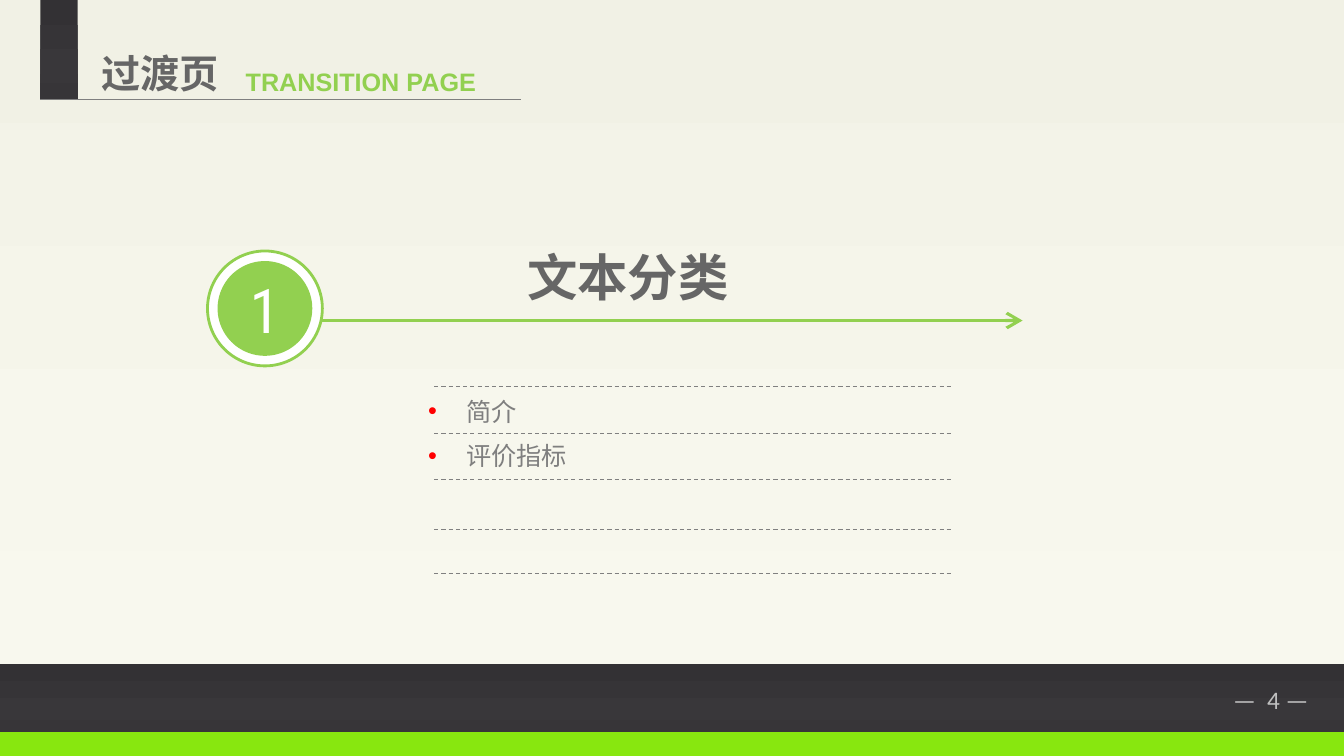
from lxml.etree import SubElement
from pptx import Presentation
from pptx.dml.color import RGBColor
from pptx.enum.dml import MSO_LINE
from pptx.enum.shapes import MSO_CONNECTOR, MSO_SHAPE
from pptx.enum.text import MSO_ANCHOR, PP_ALIGN
from pptx.oxml.ns import qn
from pptx.util import Inches, Pt

WIDTH, HEIGHT = 13.34, 7.5
GREEN, GRAY, WHITE = "92D050", "666666", "FFFFFF"
CJK = "Noto Sans CJK SC"
PAPER = [(0, "F1F1E5"), (74, "F7F7ED"), (83, "F8F8EE"), (100, "F9F9EF")]
CHARCOAL = [(0, "333134"), (74, "39373A"), (83, "373538"), (100, "363436")]


def color(value):
    return RGBColor.from_string(value)


def add_gradient(shape, stops):
    shape.fill.gradient()
    gradient = shape._element.spPr.find(qn("a:gradFill"))
    for child in list(gradient):
        gradient.remove(child)
    stop_list = SubElement(gradient, qn("a:gsLst"))
    for position, value in stops:
        stop = SubElement(stop_list, qn("a:gs"), pos=str(position * 1000))
        SubElement(stop, qn("a:srgbClr"), val=value)
    SubElement(gradient, qn("a:lin"), ang="5400000", scaled="0")


def add_block(slide, box, fill, kind=MSO_SHAPE.RECTANGLE, outline=None, weight=0):
    shape = slide.shapes.add_shape(kind, *map(Inches, box))
    shape.shadow.inherit = False
    if isinstance(fill, list):
        add_gradient(shape, fill)
    else:
        shape.fill.solid()
        shape.fill.fore_color.rgb = color(fill)
    if outline:
        shape.line.color.rgb = color(outline)
        shape.line.width = Pt(weight)
    else:
        shape.line.fill.background()
    return shape


def add_rule(slide, left, right, y, value, weight, dash=None, arrow=False):
    rule = slide.shapes.add_connector(
        MSO_CONNECTOR.STRAIGHT, Inches(left), Inches(y), Inches(right), Inches(y))
    rule.line.color.rgb = color(value)
    rule.line.width = Pt(weight)
    if dash:
        rule.line.dash_style = dash
    if arrow:
        SubElement(rule.line._get_or_add_ln(), qn("a:tailEnd"),
                   type="arrow", w="lg", len="lg")
    SubElement(rule._element.spPr, qn("a:effectLst"))


def add_bullet(paragraph, value, indent):
    properties = paragraph._p.get_or_add_pPr()
    properties.set("marL", str(Inches(indent)))
    properties.set("indent", str(-Inches(indent)))
    bullet_color = SubElement(properties, qn("a:buClr"))
    SubElement(bullet_color, qn("a:srgbClr"), val=value)
    SubElement(properties, qn("a:buFont"), typeface="Arial")
    SubElement(properties, qn("a:buChar"), char="•")


def write(frame, *lines, size, font, value, bold=False, align=PP_ALIGN.LEFT,
          wrap=True, anchor=MSO_ANCHOR.TOP, spacing=None, before=None, bullet=None):
    frame.word_wrap = wrap
    frame.vertical_anchor = anchor
    for index, line in enumerate(lines):
        paragraph = frame.add_paragraph() if index else frame.paragraphs[0]
        paragraph.alignment = align
        if spacing:
            paragraph.line_spacing = spacing
        if before:
            paragraph.space_before = Pt(before)
        if bullet:
            add_bullet(paragraph, bullet, 0.38)
        run = paragraph.add_run()
        run.text = line
        run.font.size = Pt(size)
        run.font.name = font
        run.font.bold = bold
        run.font.color.rgb = color(value)
        SubElement(run._r.get_or_add_rPr(), qn("a:ea"), typeface=font)


def add_label(slide, box, *lines, **style):
    label = slide.shapes.add_textbox(*map(Inches, box))
    write(label.text_frame, *lines, **style)


def add_backdrop(slide, width, height):
    footer_top, stripe_top = height - 0.91, height - 0.24
    add_block(slide, (0, 0, width, footer_top), PAPER)
    add_block(slide, (0, stripe_top, width, 0.24), "88E70F")
    add_block(slide, (0, footer_top, width, stripe_top - footer_top), CHARCOAL)
    add_label(slide, (width - 1.2, footer_top + 0.15, 1.19, 0.4), "—  4 —",
              size=18, font="Calibri", value="BFBFBF", wrap=False)


def add_header(slide, left, top, width, height):
    add_block(slide, (left, top, 0.37, height), CHARCOAL)
    add_label(slide, (left + 0.51, top + 0.44, 1.59, 0.57), "过渡页",
              size=28, font=CJK, value=GRAY, bold=True)
    add_label(slide, (left + 1.94, top + 0.61, 2.68, 0.4), "TRANSITION PAGE",
              size=18, font="Arial", value=GREEN, bold=True)
    add_rule(slide, left, left + width, top + height, "7F7F7F", 0.75)


def add_section_title(slide, left, top, width, number, title):
    ring, inset = 1.14, 0.1
    disc_size = ring - 2 * inset
    add_block(slide, (left, top, ring, ring), WHITE, MSO_SHAPE.OVAL, GREEN, 2)
    disc = add_block(slide, (left + inset, top + inset, disc_size, disc_size),
                     GREEN, MSO_SHAPE.OVAL)
    write(disc.text_frame, number, size=44, font="Roboto Condensed", value=WHITE,
          align=PP_ALIGN.CENTER, anchor=MSO_ANCHOR.MIDDLE)
    add_rule(slide, left + ring, left + width, top + 0.69, GREEN, 2.25, arrow=True)
    add_label(slide, (left + 1.26, top - 0.1, 5.71, 0.71), title,
              size=36, font=CJK, value=GRAY, bold=True, align=PP_ALIGN.CENTER)


def add_topics(slide, left, top, width, topics):
    add_label(slide, (left - 0.16, top - 0.01, width + 0.16, 0.91), *topics,
              size=18, font=CJK, value="7F7F7F", spacing=1.2, before=6,
              bullet="FF0000")
    for offset in (0, 0.47, 0.93, 1.42, 1.86):
        add_rule(slide, left, left + width, top + offset, "808080", 0.75,
                 dash=MSO_LINE.DASH)


def main():
    deck = Presentation()
    deck.slide_width, deck.slide_height = Inches(WIDTH), Inches(HEIGHT)
    slide = deck.slides.add_slide(deck.slide_layouts[6])
    add_backdrop(slide, WIDTH, HEIGHT)
    add_header(slide, 0.4, 0, 4.77, 0.99)
    add_section_title(slide, 2.06, 2.49, 8.09, "1", " 文本分类")
    add_topics(slide, 4.31, 3.83, 5.13, ["简介", "评价指标"])
    deck.save("out.pptx")


if __name__ == "__main__":
    main()
